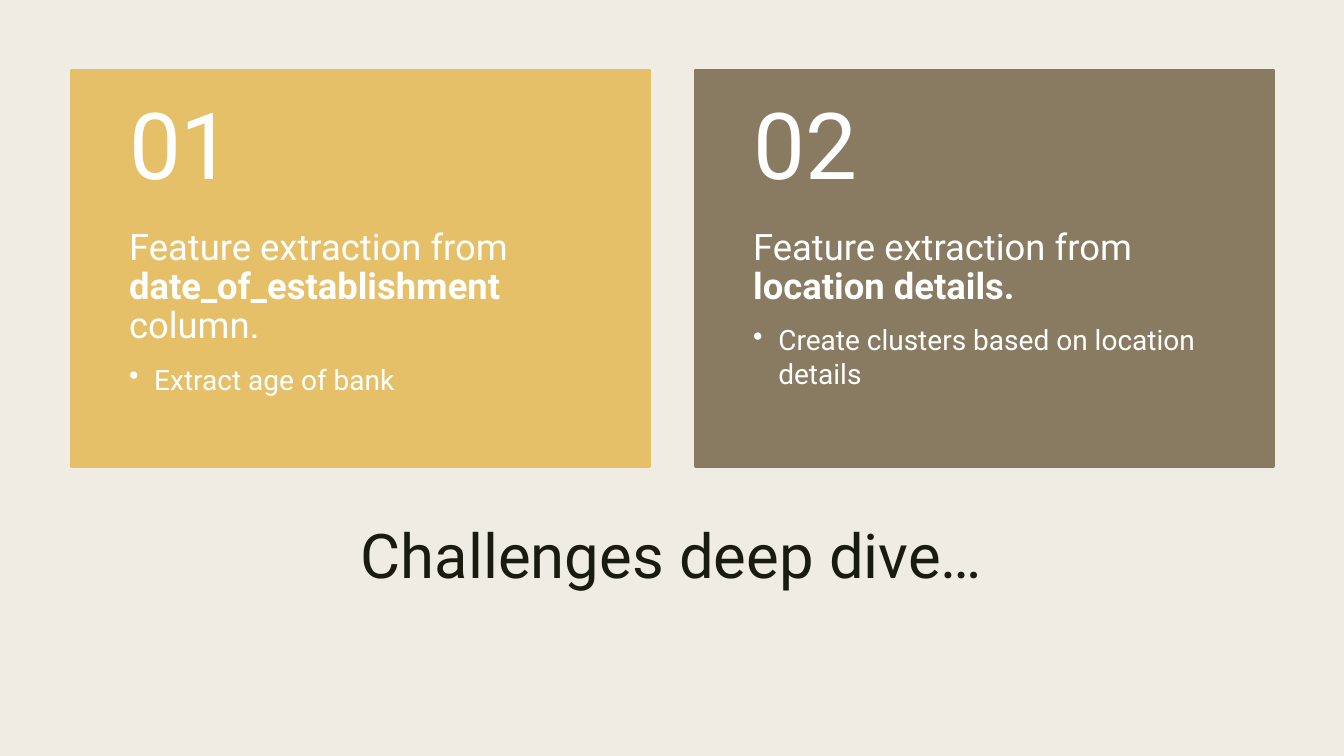
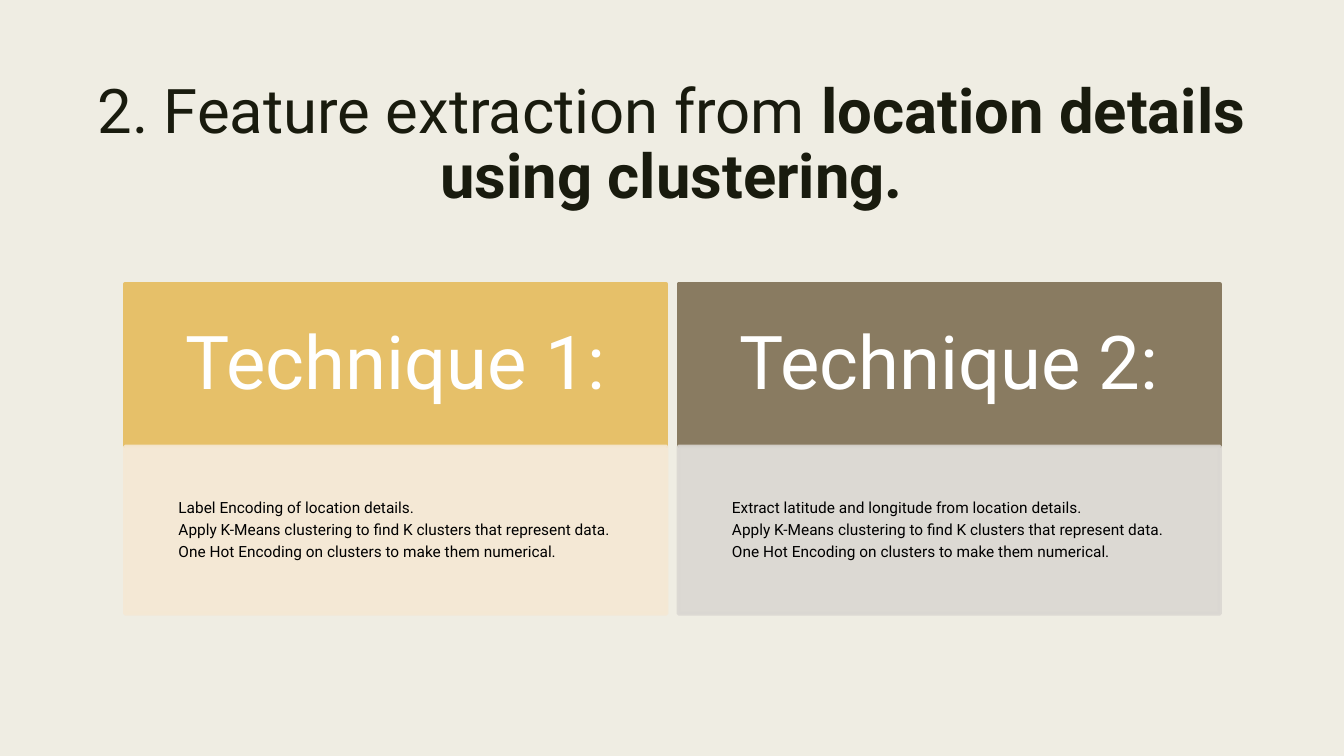
from lxml.etree import SubElement
from pptx import Presentation
from pptx.dml.color import RGBColor
from pptx.enum.shapes import MSO_SHAPE
from pptx.enum.text import MSO_ANCHOR, PP_ALIGN
from pptx.oxml.ns import qn
from pptx.util import Inches, Pt

CREAM = RGBColor(0xEF, 0xED, 0xE3)
INK = RGBColor(0x19, 0x1B, 0x0E)
GOLD = RGBColor(0xE6, 0xC0, 0x69)
BROWN = RGBColor(0x89, 0x7B, 0x61)
PALE_GOLD = RGBColor(0xF5, 0xE8, 0xD4)
PALE_GREY = RGBColor(0xDA, 0xD7, 0xD2)
WHITE = RGBColor(0xFF, 0xFF, 0xFF)
BLACK = RGBColor(0, 0, 0)


class Deck:
    """Holds the shared style and the current slide."""

    font = "Roboto"

    def __init__(self):
        self.prs = Presentation()
        self.prs.slide_width = Inches(13.33)
        self.prs.slide_height = Inches(7.5)
        self.s = None

    def slide(self):
        self.s = self.prs.slides.add_slide(self.prs.slide_layouts[6])
        fill = self.s.background.fill
        fill.solid()
        fill.fore_color.rgb = CREAM

    def title(self, top, runs):
        tf = self.text_box(0.7, top, 11.93, 1.62, (0.1, 0.05, 0.1, 0.05))
        self.paragraph(tf, runs, 44, INK, alignment=PP_ALIGN.CENTER,
                       line_spacing=0.89)

    def panel(self, x, y, w, h, color, alpha=None):
        sp = self.s.shapes.add_shape(MSO_SHAPE.RECTANGLE, Inches(x), Inches(y),
                                     Inches(w), Inches(h))
        sp.shadow.inherit = False
        sp.line.width = Pt(2.75)
        for fill in (sp.fill, sp.line.fill):
            fill.solid()
            fill.fore_color.rgb = color
        if alpha:
            for clr in sp._element.spPr.iter(qn("a:srgbClr")):
                SubElement(clr, qn("a:alpha"), val=str(alpha * 1000))
        return sp

    def text_box(self, x, y, w, h, insets, anchor=MSO_ANCHOR.TOP):
        sp = self.s.shapes.add_textbox(Inches(x), Inches(y), Inches(w), Inches(h))
        return self.frame(sp, insets, anchor)

    def frame(self, sp, insets, anchor=MSO_ANCHOR.TOP):
        tf = sp.text_frame
        tf.word_wrap = True
        tf.vertical_anchor = anchor
        for side, inset in zip(("left", "top", "right", "bottom"), insets):
            setattr(tf, f"margin_{side}", Inches(inset))
        return tf

    def paragraph(self, tf, runs, size, color, bullet=False, **formats):
        """Add a paragraph of (text, bold) runs."""
        p = tf.paragraphs[0]
        if p.runs:
            p = tf.add_paragraph()
        if bullet:
            pPr = p._p.get_or_add_pPr()
            pPr.set("marL", str(Inches(0.25)))
            pPr.set("indent", str(-Inches(0.25)))
            SubElement(pPr, qn("a:buChar"), char="•")
        formats = {"alignment": PP_ALIGN.LEFT, "line_spacing": 0.9, **formats}
        for name, value in formats.items():
            setattr(p, name, value)
        for text, bold in runs:
            r = p.add_run()
            r.text = text
            for name, value in {"name": self.font, "size": Pt(size),
                                "bold": bold}.items():
                setattr(r.font, name, value)
            r.font.color.rgb = color

    def challenge_card(self, x, color, number, heading, bullet):
        y, w, h, number_h = 0.7, 5.73, 3.92, 1.57
        self.panel(x, y, w, h, color)
        tf = self.text_box(x, y + number_h, w, h - number_h, (0.57, 0, 0.57, 0.36))
        self.paragraph(tf, heading, 26, WHITE, space_after=Pt(11))
        self.paragraph(tf, [(bullet, False)], 20, WHITE, bullet=True,
                       line_spacing=1.0)
        tf = self.text_box(x, y, w, number_h, (0.57, 0.18, 0.57, 0.18),
                           MSO_ANCHOR.MIDDLE)
        self.paragraph(tf, [(number, False)], 66, WHITE)

    def technique_column(self, x, color, tint, heading, steps):
        y, w, head_h, body_h = 2.82, 5.37, 1.61, 1.66
        head = self.panel(x, y, w, head_h, color)
        tf = self.frame(head, [0.42] * 4, MSO_ANCHOR.MIDDLE)
        self.paragraph(tf, [(heading, False)], 53, WHITE,
                       alignment=PP_ALIGN.CENTER)
        body = self.panel(x, y + head_h, w, body_h, tint, alpha=90)
        tf = self.frame(body, [0.53] * 4)
        for step in steps:
            self.paragraph(tf, [(step, False)], 11, BLACK, space_after=Pt(4))


def main():
    deck = Deck()

    # Slide 1: the two challenges
    deck.slide()
    deck.title(5.17, [("Challenges deep dive…", False)])
    lead = ("Feature extraction from ", False)
    cards = [
        (GOLD, [lead, ("date_of_establishment ", True), ("column.", False)],
         "Extract age of bank"),
        (BROWN, [lead, ("location details.", True)],
         "Create clusters based on location details"),
    ]
    for i, (color, heading, bullet) in enumerate(cards):
        deck.challenge_card(0.71 + i * 6.19, color, f"{i + 1:02}", heading, bullet)

    # Slide 2: the two clustering techniques
    deck.slide()
    deck.title(0.75, [("2. Feature extraction from ", False),
                      ("location details using clustering.", True)])
    shared_steps = [
        "Apply K-Means clustering to find K clusters that represent data.",
        "One Hot Encoding on clusters to make them numerical.",
    ]
    columns = [
        (GOLD, PALE_GOLD, "Label Encoding of location details."),
        (BROWN, PALE_GREY, "Extract latitude and longitude from location details."),
    ]
    for i, (color, tint, first_step) in enumerate(columns):
        deck.technique_column(1.24 + i * 5.49, color, tint, f"Technique {i + 1}:",
                              [first_step, *shared_steps])

    deck.prs.save("out.pptx")


if __name__ == "__main__":
    main()
